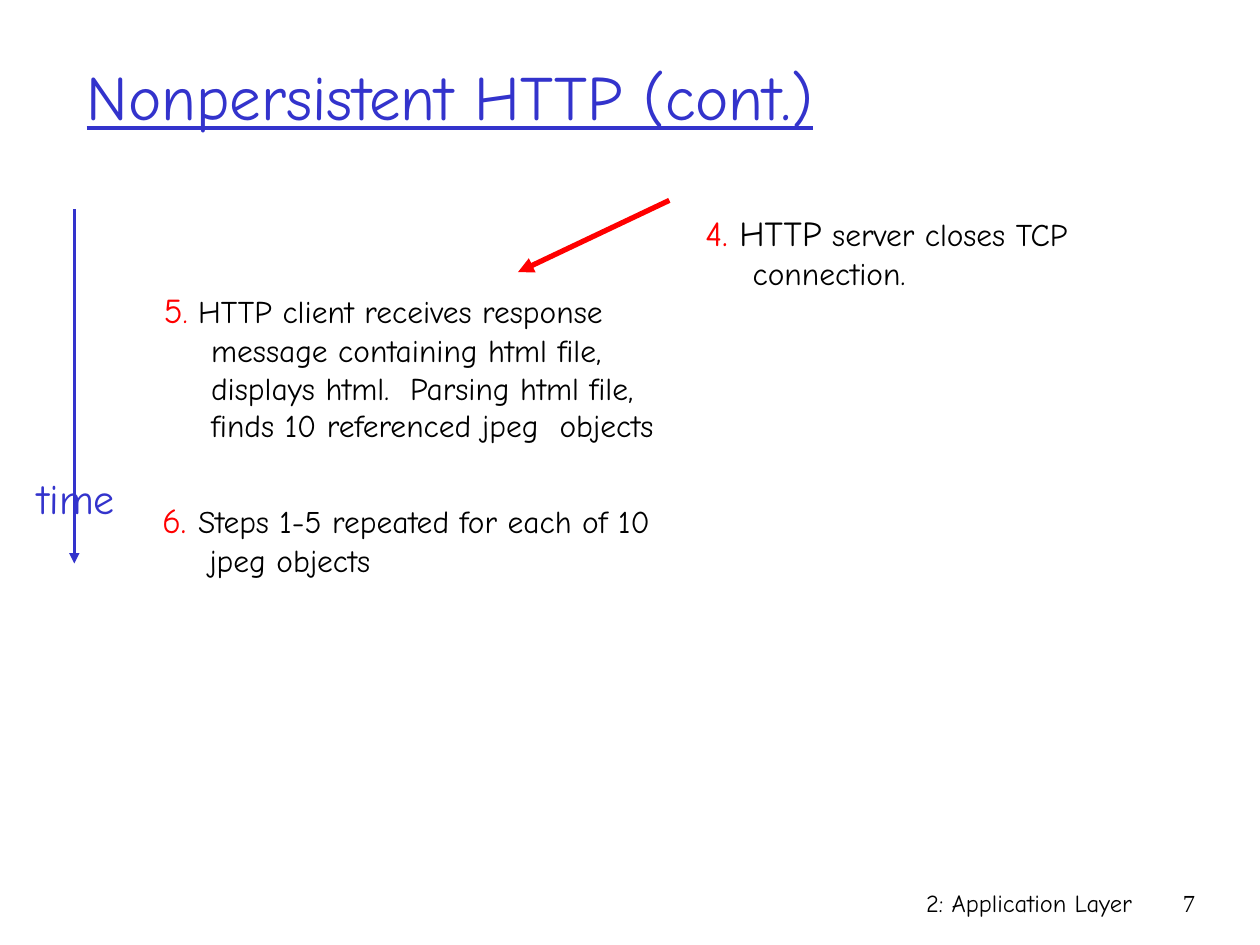
from dataclasses import dataclass
from pptx import Presentation
from pptx import util as u
from pptx.dml.color import RGBColor
from pptx.enum import shapes, text
from pptx.oxml.ns import qn
from lxml import etree

Pt = u.Pt
Left, Mid, Right = text.PP_ALIGN.LEFT, text.PP_ALIGN.CENTER, text.PP_ALIGN.RIGHT


@dataclass(frozen=True)
class Theme:
    blue: str = "3333CC"
    red: str = "FF0000"
    ink: str = "000000"
    face: str = "Comic Neue"
    serif: str = "Times New Roman"
    title: int = 36
    label: int = 24
    mark: int = 20
    body: int = 18
    foot: int = 14


class Deck:
    def __init__(self, theme):
        self.theme = theme
        self.file = Presentation()
        self.file.slide_width, self.file.slide_height = Pt(720), Pt(540)
        self.slide = self.file.slides.add_slide(self.file.slide_layouts[6])

    def style(self, font, size, color, face=None):
        font.size = Pt(size)
        font.name = face or self.theme.face
        font.color.rgb = RGBColor.from_string(color)

    def box(self, x, y, w, h, wrap=True):
        frame = self.slide.shapes.add_textbox(Pt(x), Pt(y), Pt(w), Pt(h)).text_frame
        frame.word_wrap = wrap
        if not wrap:
            frame.auto_size = text.MSO_AUTO_SIZE.SHAPE_TO_FIT_TEXT
        return frame

    def label(self, words, area, size, color, align=Left, face=None, wrap=True):
        frame = self.box(*area, wrap)
        para = frame.paragraphs[0]
        para.text, para.alignment = words, align
        self.style(para.font, size, color, face)
        return frame

    def title(self, words, area):
        frame = self.label(words, area, self.theme.title, self.theme.blue)
        frame.vertical_anchor = text.MSO_ANCHOR.MIDDLE
        frame.paragraphs[0].font.underline = True

    def step(self, area, *parts):
        para = self.box(*area).paragraphs[0]
        props = para._p.get_or_add_pPr()
        props.set("marL", str(Pt(27)))
        props.set("indent", str(-Pt(27)))
        for words, size, color in parts:
            run = para.add_run()
            run.text = words
            self.style(run.font, size, color)

    def arrow(self, start, end, color, width):
        line = self.slide.shapes.add_connector(
            shapes.MSO_CONNECTOR.STRAIGHT, *map(Pt, start + end))
        line.line.color.rgb = RGBColor.from_string(color)
        line.line.width = Pt(width)
        etree.SubElement(line.line._get_or_add_ln(), qn("a:tailEnd"), type="triangle")
        etree.SubElement(line._element.spPr, qn("a:effectLst"))


def main():
    t = Theme()
    deck = Deck(t)
    deck.label("2: Application Layer", (426, 504, 228, 36), t.foot, t.ink, Right)
    deck.label("7", (654, 504, 36, 36), t.foot, t.ink, Right, t.serif)
    deck.title("Nonpersistent HTTP (cont.)", (42.5, 20, 612, 68.5))
    deck.step((86.5, 161.5, 300, 121),
              ("5", t.mark, t.red), (".", t.body, t.red),
              (" HTTP client receives response message containing html file, "
               "displays html.  Parsing html file, finds 10 referenced jpeg  objects",
               t.body, t.ink))
    deck.step((85.5, 281.5, 300, 52.5),
              ("6. ", t.mark, t.red),
              ("Steps 1-5 repeated for each of 10 jpeg objects", t.body, t.ink))
    deck.step((396, 117.5, 300, 57.5),
              ("4.", t.mark, t.red), (" HTTP", t.mark, t.ink),
              (" server closes TCP connection.", t.body, t.ink))
    deck.arrow((42.5, 119.5), (42.5, 322), t.blue, 1.5)
    deck.label("time", (12.5, 266.5, 62, 36), t.label, t.blue, Mid, wrap=False)
    deck.arrow((382.5, 114.5), (296, 155.5), t.red, 3)
    deck.file.save("out.pptx")


if __name__ == "__main__":
    main()
